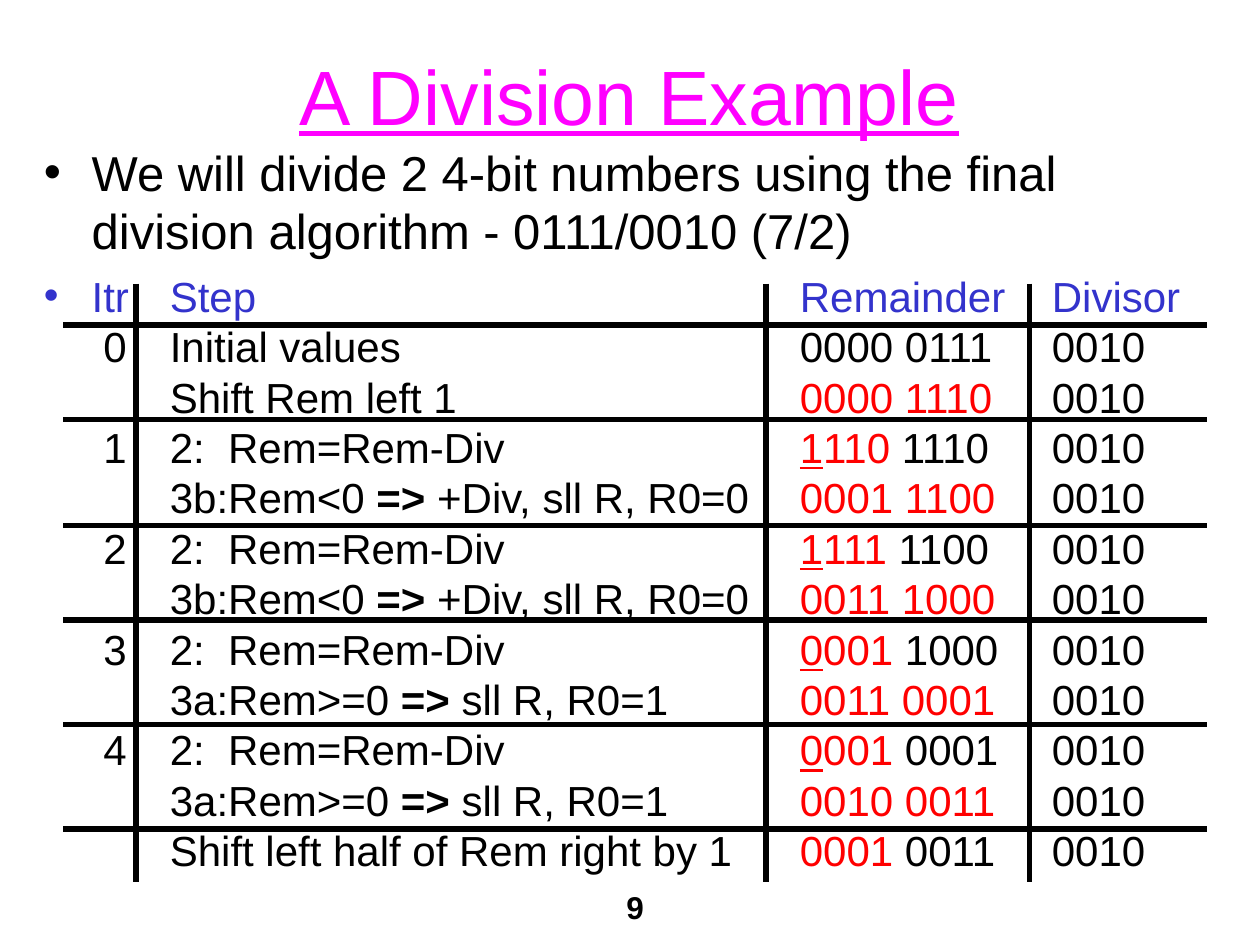
from dataclasses import dataclass

from lxml.etree import SubElement
from pptx import Presentation
from pptx.dml.color import RGBColor as RGB
from pptx.enum.shapes import MSO_CONNECTOR as Connector
from pptx.enum.text import MSO_ANCHOR as Anchor, PP_ALIGN as Align
from pptx.oxml.ns import qn
from pptx.util import Inches, Pt


@dataclass(frozen=True)
class Theme:
    font: str = "Arial"
    heading: str = "FF00FF"
    header: str = "3333CC"
    ink: str = "000000"
    changed: str = "FF0000"
    title_size: int = 44
    intro_size: int = 28
    step_size: int = 24
    number_size: int = 18
    leading: float = 1.2
    rule: int = 3


THEME = Theme()
TITLE = "A Division Example"
INTRO = "We will divide 2 4-bit numbers using the final division algorithm - 0111/0010 (7/2)"
HEADER = ("Itr", "Step", "Remainder", "Divisor")
DIVISOR = "0010"
PAGE_NUMBER = "9"

# iteration, step, (sign bit, changed bits, unchanged bits)
STEPS = [
    ("0", "Initial values", ("", "", "0000 0111")),
    ("", "Shift Rem left 1", ("", "0000 1110", "")),
    ("1", "2:  Rem=Rem-Div", ("1", "110", " 1110")),
    ("", "3b:Rem<0 => +Div, sll R, R0=0", ("", "0001 1100", "")),
    ("2", "2:  Rem=Rem-Div", ("1", "111", " 1100")),
    ("", "3b:Rem<0 => +Div, sll R, R0=0", ("", "0011 1000", "")),
    ("3", "2:  Rem=Rem-Div", ("0", "001", " 1000")),
    ("", "3a:Rem>=0 => sll R, R0=1", ("", "0011 0001", "")),
    ("4", "2:  Rem=Rem-Div", ("0", "001", " 0001")),
    ("", "3a:Rem>=0 => sll R, R0=1", ("", "0010 0011", "")),
    ("", "Shift left half of Rem right by 1", ("", "0001", " 0011")),
]
COLUMN_TABS = (1, 6, 8)
ROW_RULES = (2.58, 3.33, 4.17, 4.92, 5.75, 6.58)
COLUMN_RULES = (1.08, 6.08, 8.17)
LEFT, RIGHT, TOP, BOTTOM = 0.5, 9.58, 2.25, 7
HANGING = 0.38


def add_box(slide, left, top, width, height, anchor=Anchor.TOP):
    """Add a wrapping text box and return its frame."""
    frame = slide.shapes.add_textbox(*map(Inches, (left, top, width, height))).text_frame
    frame.word_wrap = True
    frame.vertical_anchor = anchor
    return frame


def add_run(paragraph, text, size, color, bold=False, underline=False):
    """Append a formatted run, skipping empty text."""
    if not text:
        return
    run = paragraph.add_run()
    run.text = text
    font = run.font
    font.name, font.size, font.bold, font.underline = THEME.font, Pt(size), bold, underline
    font.color.rgb = RGB.from_string(color)


def format_bullet(paragraph, size, color, tabs=()):
    """Give a paragraph its bullet, hanging indent, leading and tab stops."""
    paragraph.line_spacing = Pt(size * THEME.leading)
    properties = paragraph._p.get_or_add_pPr()
    properties.set("marL", str(Inches(HANGING)))
    properties.set("indent", str(-Inches(HANGING)))
    bullet_color = SubElement(properties, qn("a:buClr"))
    SubElement(bullet_color, qn("a:srgbClr"), val=color)
    SubElement(properties, qn("a:buFont"), typeface=THEME.font)
    SubElement(properties, qn("a:buChar"), char="•")
    if tabs:
        stops = SubElement(properties, qn("a:tabLst"))
        for tab in tabs:
            SubElement(stops, qn("a:tab"), pos=str(Inches(tab)), algn="l")


def add_step(paragraph, iteration, step, remainder):
    """Append one row of the division trace."""
    size, ink, red = THEME.step_size, THEME.ink, THEME.changed
    sign, changed, unchanged = remainder
    before, arrow, after = step.partition(" => ")
    paragraph.add_line_break()
    add_run(paragraph, (f" {iteration}" if iteration else "") + "\t" + before, size, ink)
    add_run(paragraph, arrow, size, ink, bold=True)
    add_run(paragraph, after + "\t", size, ink)
    add_run(paragraph, sign, size, red, underline=True)
    add_run(paragraph, changed, size, red)
    add_run(paragraph, f"{unchanged}\t{DIVISOR}", size, ink)


def add_rule(slide, *ends):
    """Draw one straight table rule."""
    rule = slide.shapes.add_connector(Connector.STRAIGHT, *map(Inches, ends))
    rule.line.width = Pt(THEME.rule)
    rule.line.color.rgb = RGB.from_string(THEME.ink)
    SubElement(rule._element.spPr, qn("a:effectLst"))


def main():
    """Build the division example slide."""
    deck = Presentation()
    deck.slide_width, deck.slide_height = Inches(10), Inches(7.5)
    slide = deck.slides.add_slide(deck.slide_layouts[6])

    title = add_box(slide, 0.33, 0.25, 9.33, 1, Anchor.MIDDLE).paragraphs[0]
    title.alignment = Align.CENTER
    add_run(title, TITLE, THEME.title_size, THEME.heading, underline=True)

    body = add_box(slide, 0.25, 1.08, 9.5, 6.17)
    intro = body.paragraphs[0]
    format_bullet(intro, THEME.intro_size, THEME.ink)
    add_run(intro, INTRO, THEME.intro_size, THEME.ink)

    trace = body.add_paragraph()
    trace.space_before = Pt(6)
    format_bullet(trace, THEME.step_size, THEME.header, COLUMN_TABS)
    add_run(trace, "\t".join(HEADER), THEME.step_size, THEME.header)
    for step in STEPS:
        add_step(trace, *step)

    for y in ROW_RULES:
        add_rule(slide, LEFT, y, RIGHT, y)
    for x in COLUMN_RULES:
        add_rule(slide, x, TOP, x, BOTTOM)

    number = add_box(slide, 4, 7, 2.08, 0.5).paragraphs[0]
    number.alignment = Align.CENTER
    add_run(number, PAGE_NUMBER, THEME.number_size, THEME.ink, bold=True)
    deck.save("out.pptx")


if __name__ == "__main__":
    main()
